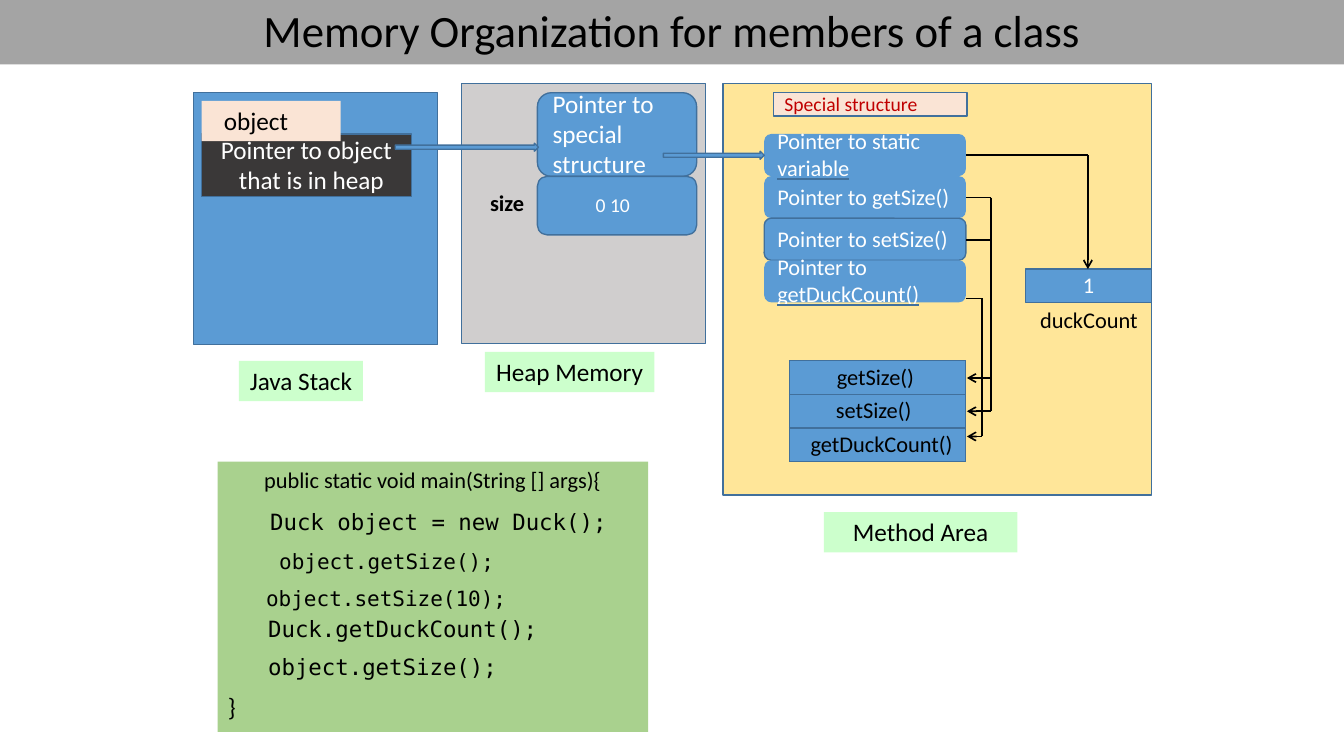
from dataclasses import dataclass

from lxml.etree import SubElement
from pptx import Presentation
from pptx.dml.color import RGBColor
from pptx.enum.shapes import MSO_CONNECTOR as Line, MSO_SHAPE as Kind
from pptx.enum.text import MSO_ANCHOR as Anchor, PP_ALIGN as Align
from pptx.oxml.ns import qn
from pptx.util import Inches, Pt


@dataclass(frozen=True)
class Theme:
    """Colours, fonts and type sizes of the slide."""
    blue: str = "5B9BD4"
    edge: str = "41709C"
    gray: str = "A4A4A4"
    dark: str = "3A3838"
    heap: str = "D0CECE"
    sand: str = "FFE699"
    mint: str = "CCFFCC"
    peach: str = "FAE4D5"
    green: str = "A9D18E"
    red: str = "C00000"
    black: str = "000000"
    white: str = "FFFFFF"
    font: str = "Calibri"
    mono: str = "DejaVu Sans Mono"
    title: int = 32
    large: int = 18
    body: int = 16
    code: int = 15
    small: int = 14


T = Theme()


def paint(fill, color):
    """Fill with one solid colour."""
    fill.solid()
    fill.fore_color.rgb = RGBColor.from_string(color)


def style(par, size, color=T.black, font=T.font, bold=False):
    """Format every run of a paragraph."""
    for run in par.runs:
        run.font.size = Pt(size)
        run.font.name = font
        run.font.bold = bold
        run.font.color.rgb = RGBColor.from_string(color)


def rule(run):
    """Underline a run in the edge colour."""
    run.font.underline = True
    props = run._r.get_or_add_rPr()
    line = props.makeelement(qn("a:uFill"), {})
    fill = SubElement(line, qn("a:solidFill"))
    SubElement(fill, qn("a:srgbClr"), val=T.edge)
    props.find(qn("a:solidFill")).addnext(line)


def indent(par, left, first=0):
    """Set the left margin and first-line indent of a paragraph."""
    props = par._p.get_or_add_pPr()
    props.set("marL", str(Inches(left)))
    props.set("indent", str(Inches(first)))


def write(shape, text, size, color=T.black, left=None, right=0, bold=False):
    """Write one middle-anchored paragraph, centred unless left is given."""
    frame = shape.text_frame
    frame.word_wrap = True
    frame.vertical_anchor = Anchor.MIDDLE
    frame.margin_top, frame.margin_bottom = 0, Inches(0.02)
    frame.margin_left, frame.margin_right = Inches(left or 0), Inches(right)
    frame.text = text
    par = frame.paragraphs[0]
    par.alignment = Align.CENTER if left is None else Align.LEFT
    style(par, size, color, bold=bold)
    return par


def block(slide, box, fill, edge=False, kind=Kind.RECTANGLE):
    """Add a filled shape with an optional outline."""
    shape = slide.shapes.add_shape(kind, *map(Inches, box))
    shape.shadow.inherit = False
    paint(shape.fill, fill)
    if edge:
        paint(shape.line.fill, T.edge)
        shape.line.width = Pt(0.96)
    else:
        shape.line.fill.background()
    return shape


def label(slide, box, text, size, color=T.black, left=None, bold=False):
    """Add text without a background."""
    area = slide.shapes.add_textbox(*map(Inches, box))
    return write(area, text, size, color, left, bold=bold)


def header(slide, box):
    """Draw the title bar."""
    bar = block(slide, box, T.gray)
    write(bar, "Memory Organization for members of a class", T.title)
    bar.text_frame.margin_bottom = Inches(0.06)


def stack(slide, box):
    """Draw the Java stack with its object reference."""
    x, y, w, h = box
    block(slide, box, T.blue, True)
    ref = block(slide, (x + 0.08, y + 0.41, 2.08, 0.62), T.dark, True)
    par = write(ref, "Pointer to object that is in heap", T.large, T.white, 0)
    indent(par, 0.37, -0.18)
    name = block(slide, (x + 0.08, y + 0.08, 1.38, 0.4), T.peach)
    write(name, "object", T.large, left=0.22)
    tag = block(slide, (x + 0.45, y + h + 0.16, 1.23, 0.4), T.mint)
    write(tag, "Java Stack", T.large)


def heap(slide, box):
    """Draw the heap with the fields of the object."""
    x, y, w, h = box
    block(slide, box, T.heap, True)
    ref = block(slide, (x + 0.75, y + 0.09, 1.58, 0.83), T.blue, True,
                Kind.ROUNDED_RECTANGLE)
    write(ref, "Pointer to special structure", T.large, T.white, 0.11, 0.33)
    size = block(slide, (x + 0.75, y + 0.92, 1.58, 0.58), T.blue, True,
                 Kind.ROUNDED_RECTANGLE)
    write(size, "0 10", T.small, T.white, 0.55)
    label(slide, (x + 0.2, y + 1.05, 0.5, 0.27), "size", T.body, bold=True)
    tag = block(slide, (x + 0.23, y + h + 0.08, 1.68, 0.4), T.mint)
    write(tag, "Heap Memory", T.large)


def border(cell):
    """Outline a table cell."""
    props = cell._tc.get_or_add_tcPr()
    for i, side in enumerate(("lnL", "lnR", "lnT", "lnB")):
        line = props.makeelement(qn(f"a:{side}"), {"w": str(Pt(1))})
        fill = SubElement(line, qn("a:solidFill"))
        SubElement(fill, qn("a:srgbClr"), val=T.edge)
        props.insert(i, line)


def methods(slide, box):
    """List the methods held in the method area."""
    rows = (("getSize()", 0.47), ("setSize()", 0.46), ("getDuckCount()", 0.21))
    table = slide.shapes.add_table(len(rows), 1, *map(Inches, box)).table
    table.first_row = table.horz_banding = False
    for i, (text, left) in enumerate(rows):
        cell = table.cell(i, 0)
        paint(cell.fill, T.blue)
        border(cell)
        cell.margin_left, cell.margin_right = Inches(left), 0
        cell.margin_top = cell.margin_bottom = 0
        cell.vertical_anchor = Anchor.MIDDLE
        cell.text = text
        style(cell.text_frame.paragraphs[0], T.body)


def links(slide, box):
    """Draw the four pointers, with all text above all boxes."""
    x, y, w, h = box
    items = (("static ", "variable"), ("getSize()", ""), ("setSize()", ""),
             ("", "getDuckCount()"))
    step = h / len(items)
    spots = [(x, y + i * step, w, step) for i in range(len(items))]
    for i, spot in enumerate(spots):
        block(slide, spot, T.blue, i == 2, Kind.ROUNDED_RECTANGLE)
    for spot, (plain, under) in zip(spots, items):
        par = label(slide, spot, "Pointer to " + plain, T.body, T.white, 0.13)
        if under:
            par.add_run().text = under
            style(par, T.body, T.white)
            rule(par.runs[-1])


def wire(slide, points):
    """Join points with straight legs and end in an arrowhead."""
    for start, end in zip(points, points[1:]):
        leg = slide.shapes.add_connector(
            Line.STRAIGHT, *map(Inches, (*start, *end)))
        paint(leg.line.fill, T.black)
        leg.line.width = Pt(1.2)
        SubElement(leg._element.spPr, qn("a:effectLst"))
    SubElement(leg.line._get_or_add_ln(), qn("a:tailEnd"), type="arrow")


def method(slide, box):
    """Draw the method area, its pointers and their targets."""
    x, y, w, h = box
    block(slide, box, T.sand, True)
    head = block(slide, (x + 0.5, y + 0.09, 1.92, 0.23), T.peach, True)
    write(head, "Special structure", T.small, T.red, 0.11)
    links(slide, (x + 0.41, y + 0.5, 2, 1.67))
    methods(slide, (x + 0.66, y + 2.75, 1.75, 1))
    count = block(slide, (x + 3, y + 1.84, 1.25, 0.33), T.blue, True)
    write(count, "1", T.body, T.white)
    label(slide, (x + 3.08, y + 2.21, 1.1, 0.28), "duckCount", T.body)
    edge = x + 2.41
    wire(slide, [(edge, y + 0.71), (x + 3.62, y + 0.71), (x + 3.62, y + 1.84)])
    for start, bend, end in ((1.13, 0.25, 2.92), (1.55, 0.25, 3.25),
                             (2.13, 0.16, 3.5)):
        wire(slide, [(edge, y + start), (edge + bend, y + start),
                     (edge + bend, y + end), (edge + 0.01, y + end)])
    tag = block(slide, (x + 1, y + h + 0.17, 1.92, 0.4), T.mint)
    write(tag, "Method Area", T.large)


def listing(slide, box):
    """Draw the main method."""
    rows = (("public static void main(String [] args){", 0.46, 0, T.body, T.font),
            ("Duck object = new Duck();", 0.52, 10.4, T.body, T.mono),
            ("object.getSize();", 0.61, 10, T.code, T.mono),
            ("object.setSize(10);", 0.48, 8, T.code, T.mono),
            ("Duck.getDuckCount();", 0.5, 3, T.body, T.mono),
            ("object.getSize();", 0.5, 8, T.body, T.mono),
            ("}", 0.1, 8.2, T.large, T.font))
    shape = block(slide, box, T.green)
    write(shape, "\n".join(row[0] for row in rows), T.body, left=0)
    frame = shape.text_frame
    frame.vertical_anchor = Anchor.TOP
    frame.margin_top = Inches(0.05)
    for par, (_, left, gap, size, font) in zip(frame.paragraphs, rows):
        par.alignment = Align.LEFT
        par.space_before = Pt(gap)
        indent(par, left)
        style(par, size, font=font)


def main():
    """Build and save the slide."""
    deck = Presentation()
    deck.slide_width, deck.slide_height = Inches(13.33), Inches(7.5)
    slide = deck.slides.add_slide(deck.slide_layouts[6])
    header(slide, (0, 0, 13.33, 0.64))
    stack(slide, (1.92, 0.92, 2.42, 2.5))
    heap(slide, (4.58, 0.83, 2.42, 2.58))
    method(slide, (7.17, 0.83, 4.25, 4.08))
    for box in ((3.92, 1.42, 1.42, 0.08), (6.58, 1.5, 1, 0.08)):
        block(slide, box, T.blue, True, Kind.RIGHT_ARROW)
    listing(slide, (2.16, 4.58, 4.27, 2.68))
    deck.save("out.pptx")


if __name__ == "__main__":
    main()
